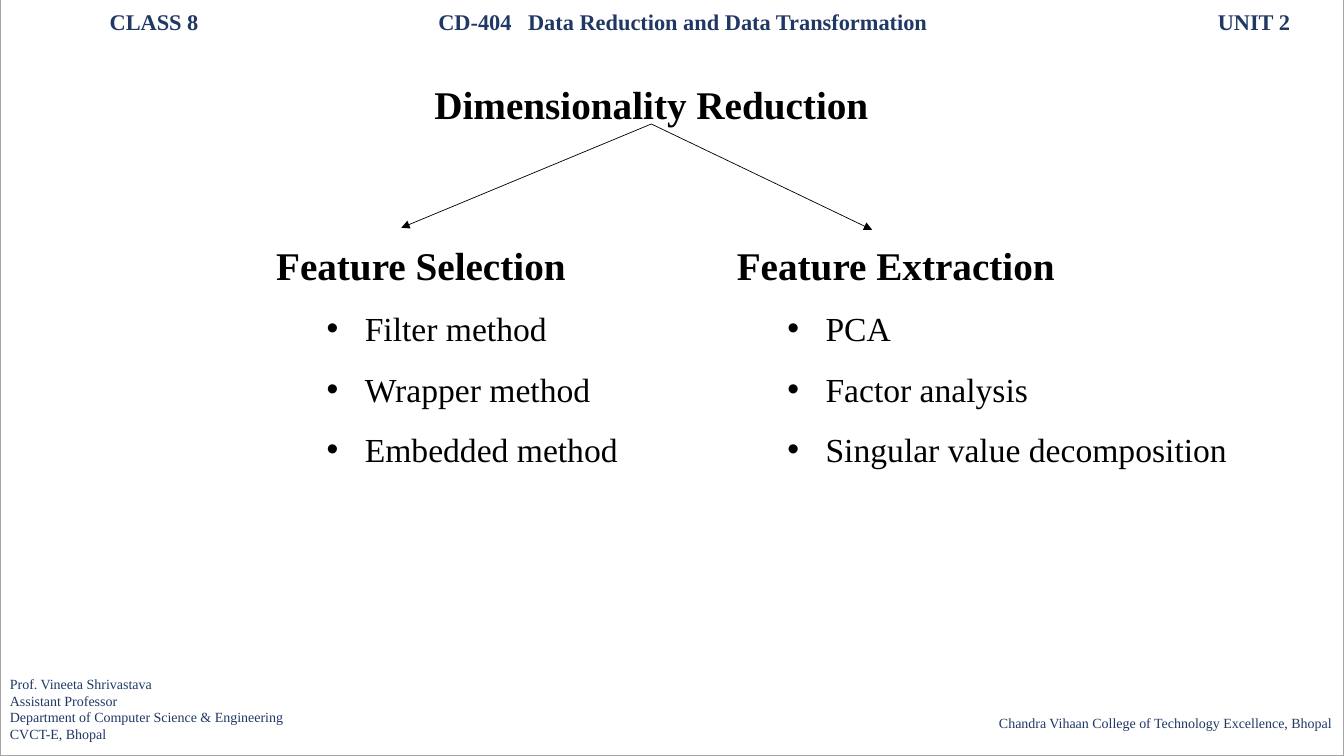
"""Build the Dimensionality Reduction lecture slide."""
from dataclasses import dataclass

from lxml import etree
from pptx import Presentation, util as u
from pptx.dml import color
from pptx.enum import shapes, text
from pptx.oxml import ns

FONT = "Times New Roman"
NAVY, BLACK, WHITE, GREY = "203864", "000000", "FFFFFF", "A5A5A5"


@dataclass
class Branch:
    """A kind of reduction with its methods and the arrow tip above it."""
    title: str
    methods: list[str]
    left: float
    width: float
    tip: tuple[float, float]


BRANCHES = [
    Branch("Feature Selection",
           ["Filter method", "Wrapper method", "Embedded method"],
           2.64, 3.82, (3.98, 2.26)),
    Branch("Feature Extraction",
           ["PCA", "Factor analysis", "Singular value decomposition"],
           7.21, 5.39, (8.65, 2.28)),
]
TEACHER = ["Prof. Vineeta Shrivastava", "Assistant Professor",
           "Department of Computer Science & Engineering", "CVCT-E, Bhopal"]
COLLEGE = "Chandra Vihaan College of Technology Excellence, Bhopal"


def paint(target, hex_code: str) -> None:
    """Give a fill one solid colour."""
    target.solid()
    target.fore_color.rgb = color.RGBColor.from_string(hex_code)


def add_child(parent, tag: str, **attributes: str):
    """Append a drawing element to a parent element."""
    return etree.SubElement(parent, ns.qn(tag), attributes)


def add_box(page, left: float, top: float, width: float, height: float):
    """Add an empty wrapping text box that grows with its text."""
    box = page.shapes.add_textbox(*map(u.Inches, (left, top, width, height)))
    box.text_frame.word_wrap = True
    box.text_frame.auto_size = text.MSO_AUTO_SIZE.SHAPE_TO_FIT_TEXT
    return box


def write(box, words: str, *, size: float, ink: str = BLACK, bold: bool = False,
          align=None, spacing: float | None = None, bullet: bool = False,
          tabs: tuple[float, ...] = ()) -> None:
    """Write one formatted paragraph at the end of a box."""
    frame = box.text_frame
    para = frame.add_paragraph() if frame.text else frame.paragraphs[0]
    para.alignment = align
    para.line_spacing = spacing
    span = para.add_run()
    span.text = words
    span.font.name, span.font.size, span.font.bold = FONT, u.Pt(size), bold
    paint(span.font.fill, ink)
    if bullet:
        para.level = 1
        layout = para._p.get_or_add_pPr()
        layout.set("marL", str(u.Inches(0.88)))
        layout.set("indent", str(u.Inches(-0.38)))
        add_child(layout, "a:buFont", typeface="Arial")
        add_child(layout, "a:buChar", char="•")
    if tabs:
        stops = add_child(para._p.get_or_add_pPr(), "a:tabLst")
        for stop in tabs:
            add_child(stops, "a:tab", pos=str(u.Inches(stop)), algn="l")


def add_arrow(page, source, tip: tuple[float, float]) -> None:
    """Draw a thin arrow from the bottom of a box to a point."""
    end = [u.Inches(value) for value in tip]
    arrow = page.shapes.add_connector(shapes.MSO_CONNECTOR.STRAIGHT, *end, *end)
    arrow.begin_connect(source, 2)
    arrow.line.width = u.Pt(0.5)
    paint(arrow.line.fill, BLACK)
    properties = arrow.element.spPr
    add_child(properties.find(ns.qn("a:ln")), "a:tailEnd", type="triangle")
    add_child(properties, "a:effectLst")


def add_frame(page) -> None:
    """Draw the white panel with its grey outline."""
    panel = page.shapes.add_shape(shapes.MSO_SHAPE.RECTANGLE, 0, u.Inches(-0.08),
                                  u.Inches(13.33), u.Inches(7.58))
    panel.shadow.inherit = False
    paint(panel.fill, WHITE)
    paint(panel.line.fill, GREY)
    panel.line.width = u.Pt(1)


def add_branch(page, branch: Branch) -> None:
    """Write a branch heading and its bulleted methods."""
    box = add_box(page, branch.left, 2.34, branch.width, 2.39)
    write(box, branch.title, size=28, bold=True)
    for method in branch.methods:
        write(box, method, size=24, spacing=1.5, bullet=True)


def main() -> None:
    """Assemble and save the deck."""
    deck = Presentation()
    deck.slide_width, deck.slide_height = u.Inches(13.33), u.Inches(7.5)
    page = deck.slides.add_slide(deck.slide_layouts[6])
    add_frame(page)

    header = add_box(page, 0.99, 0.03, 11.97, 0.37)
    write(header, "CLASS 8\tCD-404\tData Reduction and Data Transformation\tUNIT 2",
          size=16, ink=NAVY, bold=True, tabs=(3.26, 4.15, 10.99))
    teacher = add_box(page, 0, 6.65, 3.3, 0.77)
    for line in TEACHER:
        write(teacher, line, size=10, ink=NAVY)
    college = add_box(page, 9.81, 7.04, 3.7, 0.27)
    write(college, COLLEGE, size=10, ink=NAVY)

    topic = add_box(page, 0.21, 0.51, 12.5, 0.72)
    write(topic, "Dimensionality Reduction", size=28, bold=True,
          align=text.PP_ALIGN.CENTER, spacing=1.5)
    for branch in BRANCHES:
        add_arrow(page, topic, branch.tip)
    for branch in BRANCHES:
        add_branch(page, branch)
    deck.save("out.pptx")


if __name__ == "__main__":
    main()
